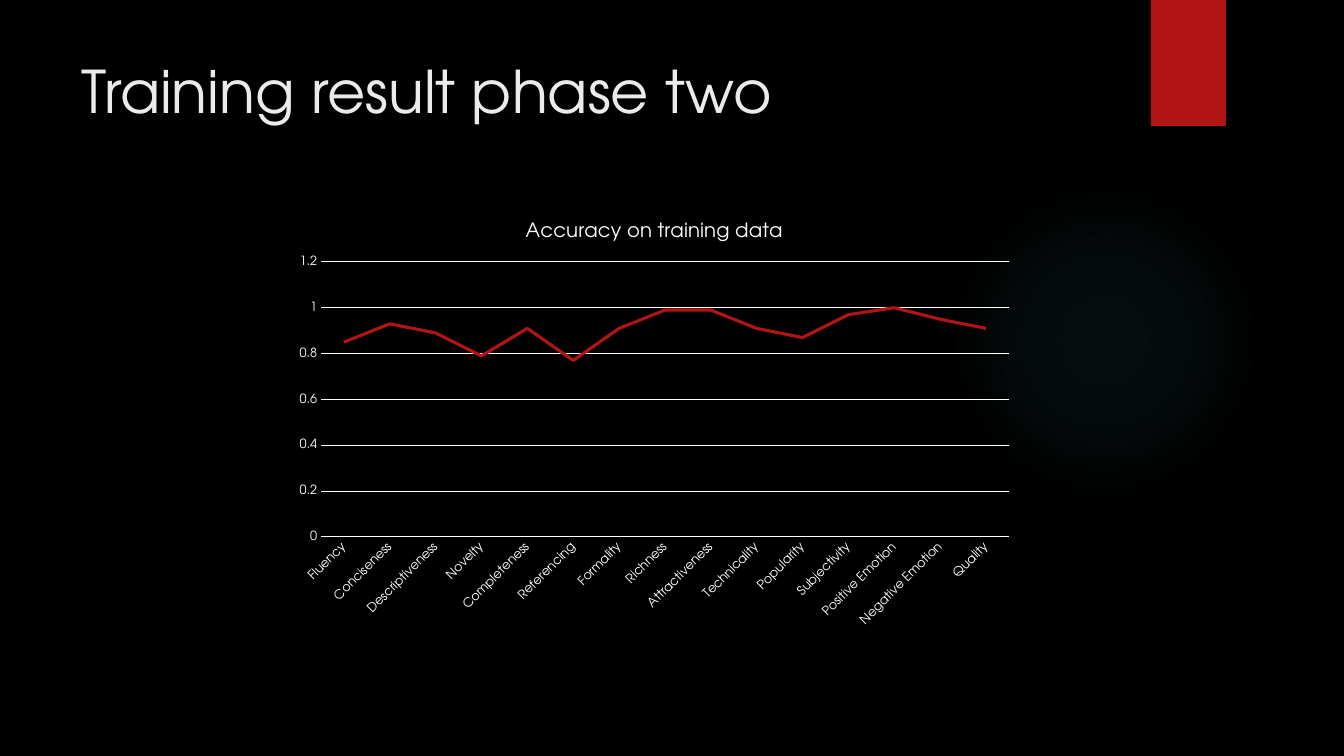
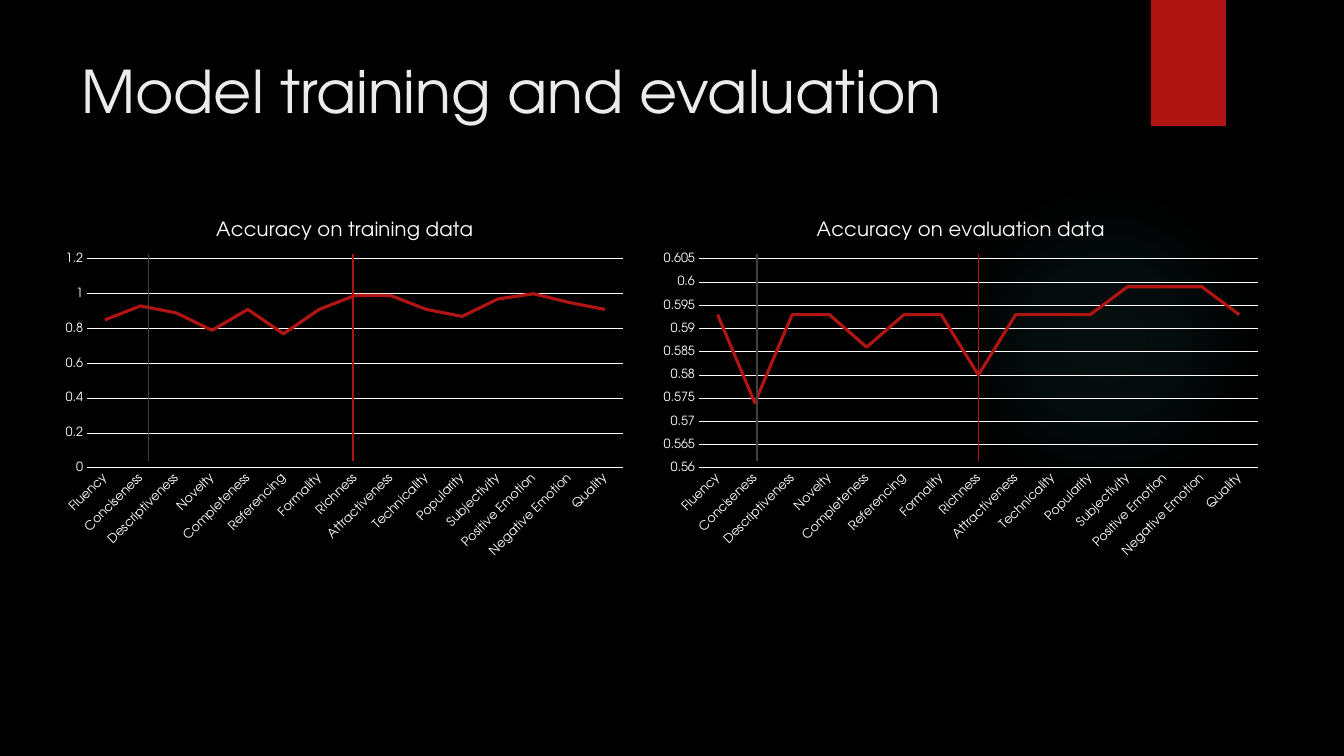
from lxml.etree import SubElement
from pptx import Presentation
from pptx.chart.data import CategoryChartData
from pptx.dml.color import RGBColor
from pptx.enum.chart import XL_CHART_TYPE as ChartType, XL_MARKER_STYLE as Marker
from pptx.enum.chart import XL_TICK_MARK as Tick
from pptx.enum.shapes import MSO_CONNECTOR as Connector, MSO_SHAPE as Shape
from pptx.enum.text import MSO_ANCHOR as Anchor, MSO_AUTO_SIZE as AutoSize, PP_ALIGN as Align
from pptx.oxml import parse_xml
from pptx.oxml.ns import nsdecls, qn
from pptx.util import Emu, Pt

FONT = "TeX Gyre Adventor"
COLORS = {
    "background": "000000",
    "title": "EBEBEB",
    "chart": "FFFFFF",
    "accent": "B01513",
    "glow": "50B9C1",
    "marker": "404040",
}
GLOW_STOPS = [(0, 7), (36, 6), (69, 0)]

SLIDE_SIZE = (1344, 756)
TITLE_BOX = (71, 50, 1037, 154)
GLOW_BOX = (950, 186, 310, 310)
BAND_BOX = (1151, 0, 75, 126)
GUIDE_TOP, GUIDE_BOTTOM = 254, 461

QUALITIES = [
    "Fluency", "Conciseness", "Descriptiveness", "Novelty", "Completeness",
    "Referencing", "Formality", "Richness", "Attractiveness", "Technicality",
    "Popularity", "Subjectivity", "Positive Emotion", "Negative Emotion", "Quality",
]
TRAINING = {
    "title": "Accuracy on training data",
    "values": [0.85, 0.93, 0.89, 0.79, 0.91, 0.77, 0.91, 0.99,
               0.99, 0.91, 0.87, 0.97, 1, 0.95, 0.91],
    "scale": (0, 1.2, 0.2),
}
EVALUATION = {
    "title": "Accuracy on evaluation data",
    "values": [0.593, 0.574, 0.593, 0.593, 0.586, 0.593, 0.593, 0.58,
               0.593, 0.593, 0.593, 0.599, 0.599, 0.599, 0.593],
    "scale": (0.56, 0.605, 0.005),
}
SLIDES = [
    {
        "title": "Training result phase two",
        "charts": [(TRAINING, (285, 203, 739, 433), (321, 262, 688, 275))],
        "guides": [],
    },
    {
        "title": "Model training and evaluation",
        "charts": [
            (TRAINING, (55, 203, 580, 362), (87, 259, 536, 209)),
            (EVALUATION, (651, 203, 620, 362), (699, 259, 559, 209)),
        ],
        "guides": [(757, "marker"), (979, "accent"), (149, "marker"), (353, "accent")],
    },
]


def px(length):
    return Emu(round(length * 914400 / 100.8))


def emu_box(box):
    return [px(length) for length in box]


def color(name):
    return RGBColor.from_string(COLORS[name])


def style_font(font, size, color_name):
    font.name = FONT
    font.size = Pt(size)
    font.bold = False
    font.color.rgb = color(color_name)


def style_line(line, color_name, width):
    line.color.rgb = color(color_name)
    line.width = Pt(width)


def add_decoration(slide, layout, preset, box):
    decoration = slide.shapes.add_shape(preset, *emu_box(box))
    decoration.shadow.inherit = False
    decoration.line.fill.background()
    layout.shapes.element.insert(2, decoration.element)
    return decoration


def fill_glow(glow):
    stops = "".join(
        f'<a:gs pos="{position * 1000}"><a:srgbClr val="{COLORS["glow"]}">'
        f'<a:alpha val="{opacity * 1000}"/></a:srgbClr></a:gs>'
        for position, opacity in GLOW_STOPS
    )
    gradient = parse_xml(
        f'<a:gradFill {nsdecls("a")}><a:gsLst>{stops}</a:gsLst><a:path path="circle">'
        '<a:fillToRect l="50000" t="50000" r="50000" b="50000"/></a:path></a:gradFill>'
    )
    glow.fill.background()
    properties = glow.element.spPr
    properties.replace(properties.find(qn("a:noFill")), gradient)


def set_title(slide, text):
    frame = slide.shapes.title.text_frame
    frame.text = text
    frame.word_wrap = True
    frame.auto_size = AutoSize.NONE
    frame.vertical_anchor = Anchor.TOP
    heading = frame.paragraphs[0]
    heading.alignment = Align.LEFT
    style_font(heading.font, 42, "title")


def place_plot(chart, box, plot_box):
    left, top, width, height = box
    plot_left, plot_top, plot_width, plot_height = plot_box
    settings = {
        "layoutTarget": "inner", "xMode": "edge", "yMode": "edge",
        "x": (plot_left - left) / width, "y": (plot_top - top) / height,
        "w": plot_width / width, "h": plot_height / height,
    }
    plot_area = chart.element.find(".//" + qn("c:plotArea"))
    for automatic in plot_area.findall(qn("c:layout")):
        plot_area.remove(automatic)
    layout = parse_xml(f'<c:layout {nsdecls("c")}><c:manualLayout/></c:layout>')
    for name, value in settings.items():
        SubElement(layout[0], qn("c:" + name)).set("val", str(value))
    plot_area.insert(0, layout)


def add_accuracy_chart(slide, accuracy, box, plot_box):
    data = CategoryChartData()
    data.categories = QUALITIES
    data.add_series("Series 1", accuracy["values"])
    chart = slide.shapes.add_chart(ChartType.LINE, *emu_box(box), data).chart
    style_font(chart.font, 10, "chart")
    chart.has_legend = False
    chart.has_title = True
    chart.chart_title.include_in_layout = False
    heading = chart.chart_title.text_frame
    heading.text = accuracy["title"]
    style_font(heading.paragraphs[0].font, 14, "chart")

    qualities, scores = chart.category_axis, chart.value_axis
    for axis in (qualities, scores):
        axis.major_tick_mark = axis.minor_tick_mark = Tick.NONE
        style_font(axis.tick_labels.font, 9, "chart")
    style_line(qualities.format.line, "chart", 0.75)
    labels = chart.element.find(".//" + qn("c:catAx")).find(qn("c:txPr"))
    labels.find(qn("a:bodyPr")).set("rot", "-2700000")
    scores.minimum_scale, scores.maximum_scale, scores.major_unit = accuracy["scale"]
    scores.tick_labels.number_format = "General"
    scores.tick_labels.number_format_is_linked = False
    scores.format.line.fill.background()
    scores.has_major_gridlines = True
    style_line(scores.major_gridlines.format.line, "chart", 0.75)

    chart.plots[0].vary_by_categories = False
    series = chart.plots[0].series[0]
    series.smooth = False
    series.marker.style = Marker.NONE
    style_line(series.format.line, "accent", 2.25)
    place_plot(chart, box, plot_box)


def add_guide(slide, x, color_name):
    guide = slide.shapes.add_connector(
        Connector.STRAIGHT, px(x), px(GUIDE_TOP), px(x), px(GUIDE_BOTTOM))
    style_line(guide.line, color_name, 0.75)
    SubElement(guide.element.spPr, qn("a:effectLst"))


def prepare_layout(layout, slide):
    background = layout.background.fill
    background.solid()
    background.fore_color.rgb = color("background")
    title = layout.placeholders[0]
    title.left, title.top, title.width, title.height = emu_box(TITLE_BOX)
    band = add_decoration(slide, layout, Shape.RECTANGLE, BAND_BOX)
    band.fill.solid()
    band.fill.fore_color.rgb = color("accent")
    fill_glow(add_decoration(slide, layout, Shape.OVAL, GLOW_BOX))


def main():
    deck = Presentation()
    deck.slide_width, deck.slide_height = emu_box(SLIDE_SIZE)
    layout = deck.slide_layouts[5]
    slides = [deck.slides.add_slide(layout) for _ in SLIDES]
    prepare_layout(layout, slides[0])
    for slide, content in zip(slides, SLIDES):
        set_title(slide, content["title"])
        for accuracy, box, plot_box in content["charts"]:
            add_accuracy_chart(slide, accuracy, box, plot_box)
        for x, color_name in content["guides"]:
            add_guide(slide, x, color_name)
    deck.save("out.pptx")


if __name__ == "__main__":
    main()
